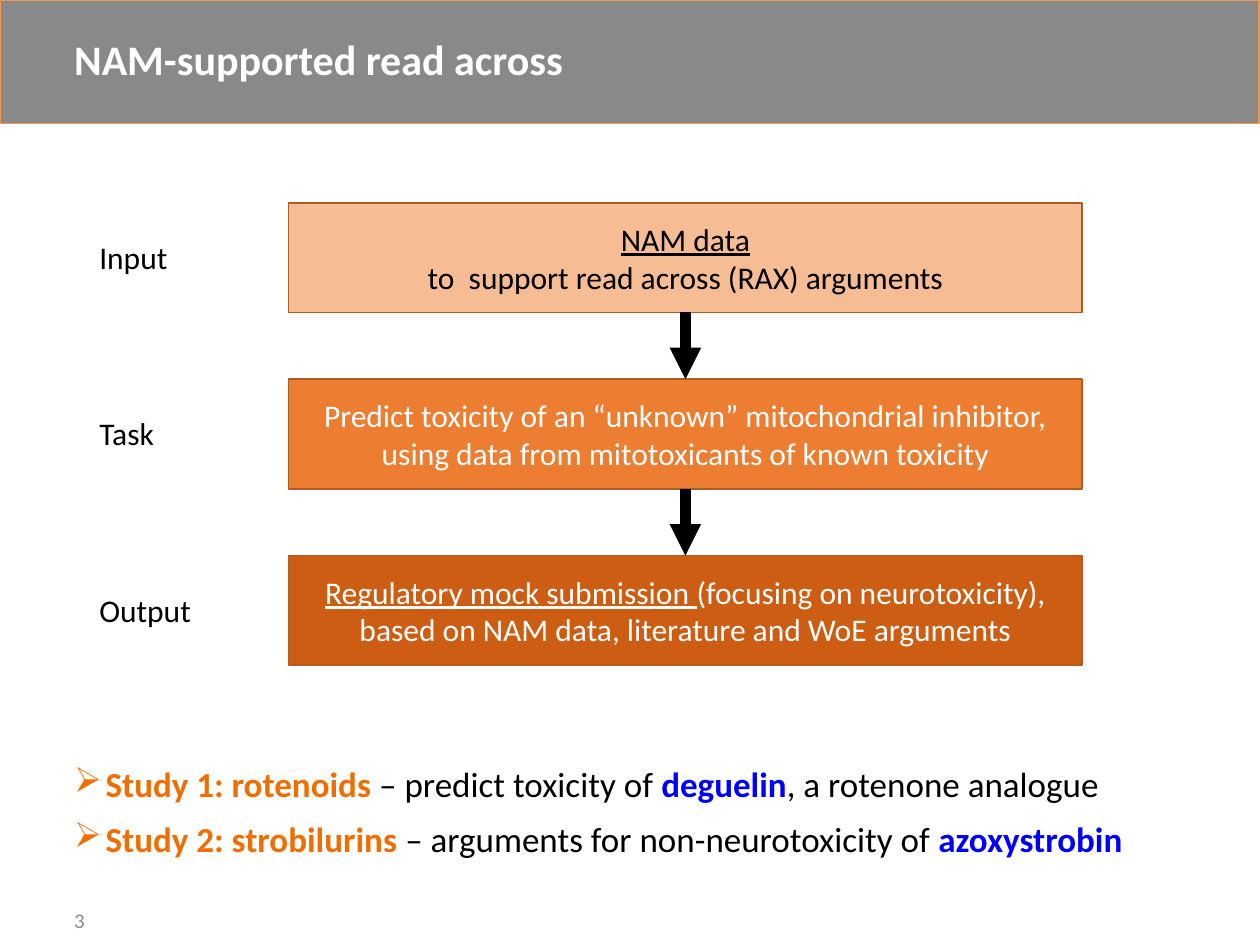
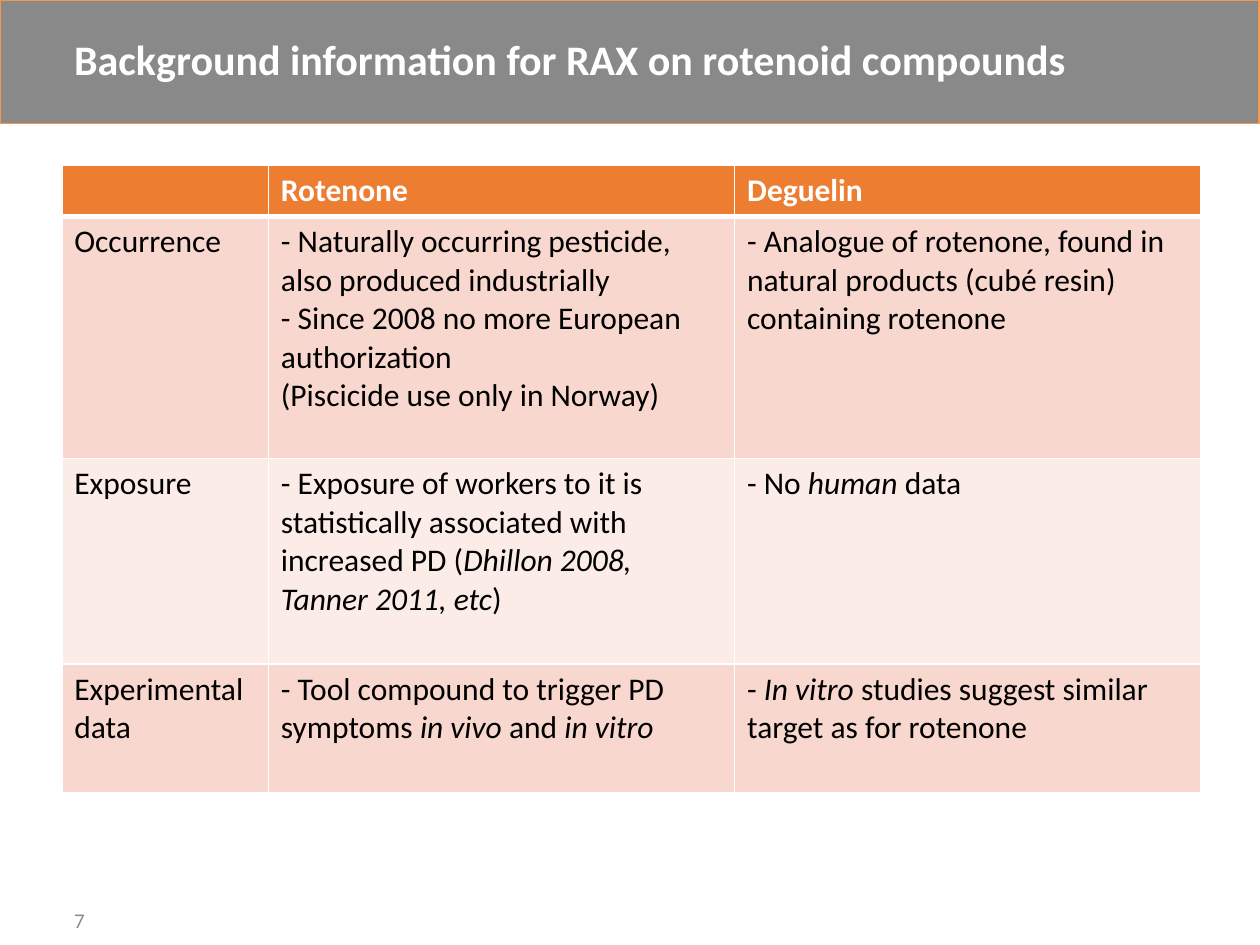
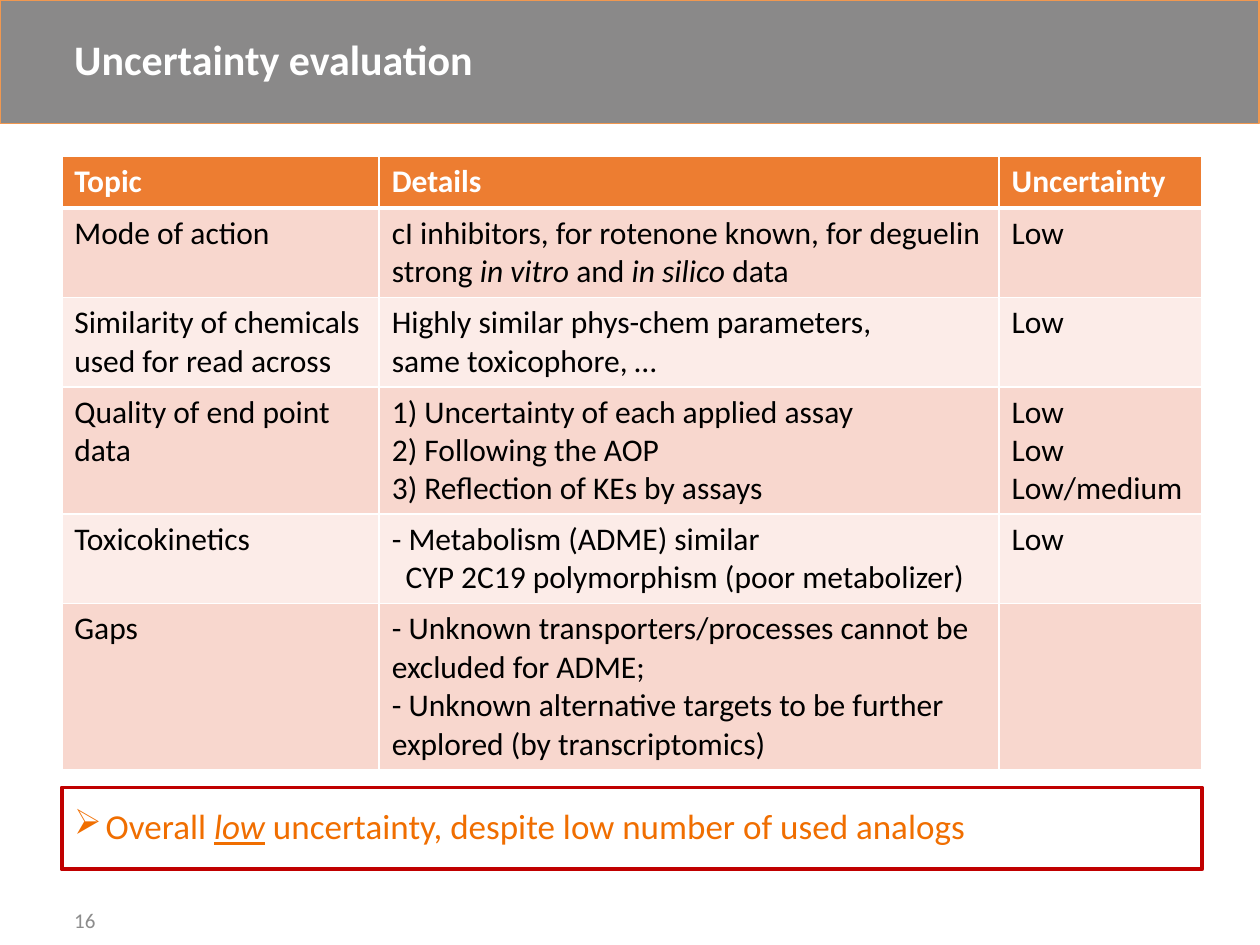
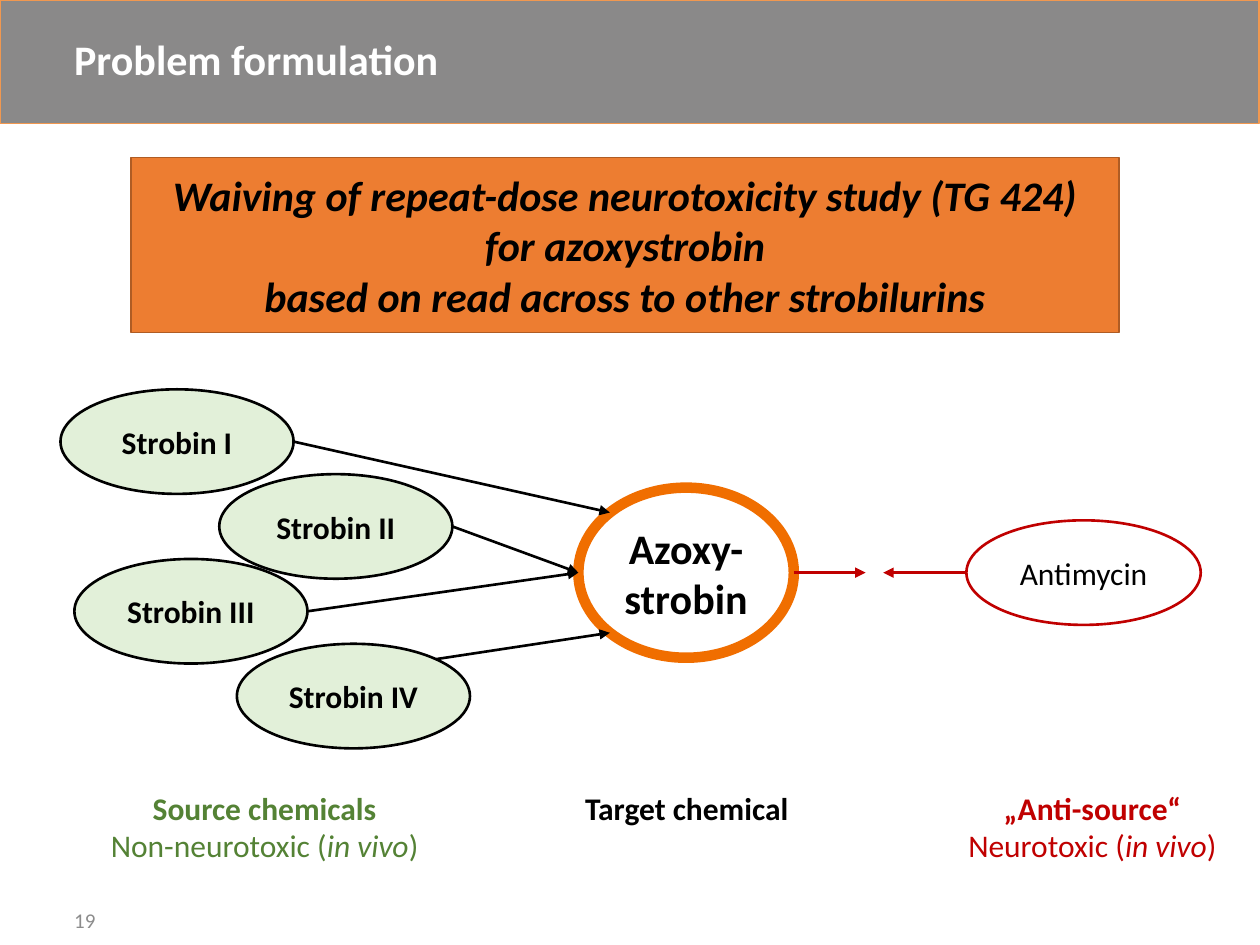
import math

from lxml import etree
from pptx import Presentation
from pptx.dml.color import RGBColor
from pptx.enum.shapes import MSO_CONNECTOR, MSO_SHAPE
from pptx.enum.text import MSO_ANCHOR, PP_ALIGN
from pptx.oxml.ns import qn
from pptx.util import Inches, Pt

RECT, OVAL = MSO_SHAPE.RECTANGLE, MSO_SHAPE.OVAL
STRAIGHT = MSO_CONNECTOR.STRAIGHT
TOP, MIDDLE = MSO_ANCHOR.TOP, MSO_ANCHOR.MIDDLE
LEFT, CENTER = PP_ALIGN.LEFT, PP_ALIGN.CENTER

FONT = "Calibri"
COLORS = {
    "band": "8A8989", "band_line": "F19850", "number": "8C8C8C",
    "white": "FFFFFF", "black": "000000", "blue": "0000FF", "red": "C00000",
    "accent": "F06E00", "orange": "ED7D31", "orange_light": "F6BC94",
    "orange_dark": "CC5D12", "orange_line": "AF5C24",
    "row_odd": "F8D7CE", "row_even": "FCECE8",
    "green": "548235", "green_light": "E2F0D9",
}
MARGIN, CONTENT_W = 0.49, 9.05
BAND_H = 0.98
ITALIC = {"italic": True}
UNDERLINE = {"underline": True}


def rgb(name):
    return RGBColor.from_string(COLORS[name])


# ---- text ----
def add_run(p, text, size, color, bold=False, italic=False, underline=False):
    for i, line in enumerate(text.split("\n")):
        if i:
            p.add_line_break()
        r = p.add_run()
        r.text = line
        f = r.font
        f.name, f.size, f.color.rgb = FONT, Pt(size), rgb(color)
        f.bold, f.italic, f.underline = bold, italic, underline


def write(tf, paragraphs, size=18, color="black", align=LEFT, spacing=None,
          before=None, bullet=None, **style):
    """Each paragraph is a string or a list of strings and (text, format) pairs."""
    if isinstance(paragraphs, str):
        paragraphs = [paragraphs]
    for i, runs in enumerate(paragraphs):
        p = tf.paragraphs[0] if i == 0 else tf.add_paragraph()
        p.alignment, p.line_spacing = align, spacing
        if before:
            p.space_before = Pt(before)
        if bullet:
            hang(p, 0.25)
            etree.SubElement(p._p.pPr, qn("a:buChar"), char=bullet)
        for run in [runs] if isinstance(runs, str) else runs:
            text, extra = (run, {}) if isinstance(run, str) else run
            add_run(p, text, **{"size": size, "color": color, **style, **extra})


def hang(p, inches):
    pPr = p._p.get_or_add_pPr()
    pPr.set("marL", str(Inches(inches)))
    pPr.set("indent", str(-Inches(inches)))


# ---- shapes ----
def add_text(slide, box, paragraphs, anchor=TOP, wrap=True, **fmt):
    sp = slide.shapes.add_textbox(*map(Inches, box))
    tf = sp.text_frame
    tf.word_wrap, tf.vertical_anchor = wrap, anchor
    write(tf, paragraphs, **fmt)
    return sp


def add_box(slide, box, paragraphs=(), kind=RECT, fill=None, line="black",
            width=1, align=CENTER, **fmt):
    sp = slide.shapes.add_shape(kind, *map(Inches, box))
    sp.shadow.inherit = False
    if fill:
        sp.fill.solid()
        sp.fill.fore_color.rgb = rgb(fill)
    else:
        sp.fill.background()
    sp.line.color.rgb, sp.line.width = rgb(line), Pt(width)
    sp.text_frame.word_wrap = True
    sp.text_frame.vertical_anchor = MIDDLE
    write(sp.text_frame, paragraphs, align=align, **fmt)
    return sp


def add_arrow(slide, start, end, color="black", width=1.5):
    cx = slide.shapes.add_connector(STRAIGHT, *map(Inches, (*start, *end)))
    cx.line.color.rgb, cx.line.width = rgb(color), Pt(width)
    etree.SubElement(cx.line._get_or_add_ln(), qn("a:tailEnd"), type="triangle")
    etree.SubElement(cx._element.spPr, qn("a:effectLst"))


def oval_point(box, degrees):
    """Point on the ellipse in the box, clockwise from its right end."""
    x, y, w, h = box
    a = math.radians(degrees)
    return x + w / 2 * (1 + math.cos(a)), y + h / 2 * (1 + math.sin(a))


# ---- tables ----
def style_cell(cell, fill, top, bottom):
    cell.fill.solid()
    cell.fill.fore_color.rgb = rgb(fill)
    tcPr = cell._tc.get_or_add_tcPr()
    borders = (("a:lnL", 1), ("a:lnR", 1), ("a:lnT", top), ("a:lnB", bottom))
    for i, (tag, width) in enumerate(borders):
        ln = etree.Element(qn(tag), w=str(Pt(width)))
        solid = etree.SubElement(ln, qn("a:solidFill"))
        etree.SubElement(solid, qn("a:srgbClr"), val=COLORS["white"])
        tcPr.insert(i, ln)


def add_grid(slide, box, col_widths, row_heights, rows):
    shape = slide.shapes.add_table(len(rows), len(col_widths), *map(Inches, box))
    table = shape.table
    for col, width in zip(table.columns, col_widths):
        col.width = Inches(width)
    for r, (row, height) in enumerate(zip(rows, row_heights)):
        table.rows[r].height = Inches(height)
        header = r == 0
        fill = "orange" if header else "row_odd" if r % 2 else "row_even"
        for c, content in enumerate(row):
            cell = table.cell(r, c)
            style_cell(cell, fill, 3 if r == 1 else 1, 3 if header else 1)
            write(cell.text_frame, content, bold=header,
                  color="white" if header else "black")
    return table


# ---- shared slide frame ----
def new_slide(prs, title, number):
    slide = prs.slides.add_slide(prs.slide_layouts[6])
    add_box(slide, (0, 0, 9.99, BAND_H), fill="band", line="band_line")
    add_text(slide, (MARGIN, 0, CONTENT_W, BAND_H), title, anchor=MIDDLE,
             size=24, color="white", bold=True, spacing=0.9)
    add_text(slide, (MARGIN, 7.1, 1.45, 0.4), str(number), anchor=MIDDLE,
             size=12, color="number")
    return slide


# ---- slide 1: flow from input to output ----
def flow(slide, box, steps, step_h=0.87):
    x, y, w, h = box
    box_x, box_w = x + 1.6, w - 1.6
    pitch = (h - step_h) / (len(steps) - 1)
    mid = box_x + box_w / 2
    for i, (label, text, fill, color) in enumerate(steps):
        top = y + i * pitch
        add_text(slide, (x, top + 0.23, 0.94, 0.4), label, wrap=False)
        add_box(slide, (box_x, top, box_w, step_h), text, fill=fill,
                line="orange_line", color=color)
        if i:
            add_arrow(slide, (mid, top - pitch + step_h), (mid, top), width=6)


def read_across_slide(prs):
    slide = new_slide(prs, "NAM-supported read across", 3)
    flow(slide, (0.69, 1.61, 7.9, 3.67), [
        ("Input", [[("NAM data", UNDERLINE)],
                   "to  support read across (RAX) arguments"],
         "orange_light", "black"),
        ("Task", "Predict toxicity of an “unknown” mitochondrial inhibitor, "
                 "using data from mitotoxicants of known toxicity",
         "orange", "white"),
        ("Output", [[("Regulatory mock submission ", UNDERLINE),
                     "(focusing on neurotoxicity),"],
                    "based on NAM data, literature and WoE arguments"],
         "orange_dark", "white"),
    ])
    study = {"bold": True}
    compound = {"bold": True, "color": "blue"}
    plain = {"color": "black"}
    add_text(slide, (MARGIN, 6.04, CONTENT_W, 1.06), [
        [("Study 1: rotenoids ", study), ("– predict toxicity of ", plain),
         ("deguelin", compound), (", a rotenone analogue", plain)],
        [("Study 2: strobilurins ", study),
         ("– arguments for non-neurotoxicity of ", plain),
         ("azoxystrobin", compound)],
    ], size=20, color="accent", spacing=0.9, before=10, bullet="➢")


# ---- slide 2: compound comparison ----
def background_slide(prs):
    slide = new_slide(prs, "Background information for RAX on rotenoid compounds", 7)
    add_grid(slide, (MARGIN, 1.31, CONTENT_W, 4.98), (1.64, 3.7, 3.7),
             (0.41, 1.92, 1.63, 1.02), [
        ["", "Rotenone", "Deguelin"],
        ["Occurrence",
         ["- Naturally occurring pesticide, also produced industrially",
          "- Since 2008 no more European authorization\n"
          "(Piscicide use only in Norway)"],
         "- Analogue of rotenone, found in natural products (cubé resin) "
         "containing rotenone"],
        ["Exposure",
         [["- Exposure of workers to it is statistically associated with "
           "increased PD (", ("Dhillon 2008, Tanner 2011, etc", ITALIC), ")"]],
         [["- No ", ("human", ITALIC), " data"]]],
        ["Experimental data",
         [["- Tool compound to trigger PD symptoms ", ("in vivo ", ITALIC),
           "and ", ("in vitro", ITALIC)]],
         [["- ", ("In vitro", ITALIC),
           " studies suggest similar target as for rotenone"]]],
    ])


# ---- slide 3: uncertainty table and conclusion ----
def uncertainty_slide(prs):
    slide = new_slide(prs, "Uncertainty evaluation", 16)
    table = add_grid(slide, (MARGIN, 1.24, CONTENT_W, 4.87), (2.52, 4.92, 1.61),
                     (0.41, 0.71, 0.71, 1.01, 0.71, 1.32), [
        ["Topic", "Details", "Uncertainty"],
        ["Mode of action",
         [["cI inhibitors, for rotenone known, for deguelin strong ",
           ("in vitro ", ITALIC), "and ", ("in silico ", ITALIC), "data"]],
         "Low"],
        ["Similarity of chemicals used for read across",
         "Highly similar phys-chem parameters,\nsame toxicophore, …", "Low"],
        ["Quality of end point data",
         ["1) Uncertainty of each applied assay", "2) Following the AOP",
          "3) Reflection of KEs by assays"],
         ["Low", "Low", "Low/medium"]],
        ["Toxicokinetics",
         "- Metabolism (ADME) similar\nCYP 2C19 polymorphism (poor metabolizer)",
         "Low"],
        ["Gaps",
         ["- Unknown transporters/processes cannot be excluded for ADME;",
          "- Unknown alternative targets to be further explored "
          "(by transcriptomics)"],
         ""],
    ])
    hang(table.cell(4, 1).text_frame.paragraphs[0], 0.11)
    add_box(slide, (MARGIN, 6.25, CONTENT_W, 0.65), [
        ["Overall ", ("low", {"italic": True, "underline": True}),
         " uncertainty, despite low number of used analogs"],
    ], line="red", width=2.25, align=LEFT, size=20, color="accent",
        spacing=0.9, before=10, bullet="➢")


# ---- slide 4: source, target and anti-source chemicals ----
def chemical_map(slide, box):
    x, y, w, h = box
    target = (x + 4.11, y + 0.78, 1.71, 1.35)
    anti = (x + w - 1.86, y + 1.04, 1.86, 0.83)
    add_box(slide, target, "Azoxy-strobin", kind=OVAL, line="accent", width=6,
            size=24, bold=True)
    add_box(slide, anti, "Antimycin", kind=OVAL, line="red", width=1.5)

    # name, left offset, row, angle at the source, angle at the target
    sources = [("Strobin III", 0.11, 2, 0, 180), ("Strobin II", 1.26, 1, 0, 180),
               ("Strobin I", 0, 0, 0, 225), ("Strobin IV", 1.4, 3, -45, 135)]
    pitch = (h - 0.83) / 3
    for name, dx, row, leave, arrive in sources:
        source = (x + dx, y + row * pitch, 1.85, 0.83)
        add_box(slide, source, name, kind=OVAL, fill="green_light", width=1.5,
                bold=True)
        add_arrow(slide, oval_point(source, leave), oval_point(target, arrive))

    # opposing arrows between target and anti-source
    for start, reach in ((oval_point(target, 0), 0.57),
                         (oval_point(anti, 180), -0.66)):
        add_arrow(slide, start, (start[0] + reach, start[1]), color="red")


def problem_slide(prs):
    slide = new_slide(prs, "Problem formulation", 19)
    add_box(slide, (1.04, 1.25, 7.84, 1.39),
            "Waiving of repeat-dose neurotoxicity study (TG 424)\n"
            "for azoxystrobin\nbased on read across to other strobilurins",
            fill="orange", line="orange_line", size=24, bold=True, italic=True)
    chemical_map(slide, (0.48, 3.09, 9.05, 2.85))
    captions = [
        (0.48, 3.24, "green", "Source chemicals", "Non-neurotoxic ("),
        (4.39, 2.12, "black", "Target chemical", None),
        (7.34, 2.66, "red", "„Anti-source“", "Neurotoxic ("),
    ]
    for x, w, color, heading, effect in captions:
        lines = [[(heading, {"bold": True})]]
        if effect:
            lines.append([effect, ("in vivo", ITALIC), ")"])
        add_text(slide, (x, 6.21, w, 0.71 if effect else 0.4), lines,
                 color=color, align=CENTER)


def main():
    prs = Presentation()
    prs.slide_width, prs.slide_height = Inches(10), Inches(7.5)
    read_across_slide(prs)
    background_slide(prs)
    uncertainty_slide(prs)
    problem_slide(prs)
    prs.save("out.pptx")


if __name__ == "__main__":
    main()
